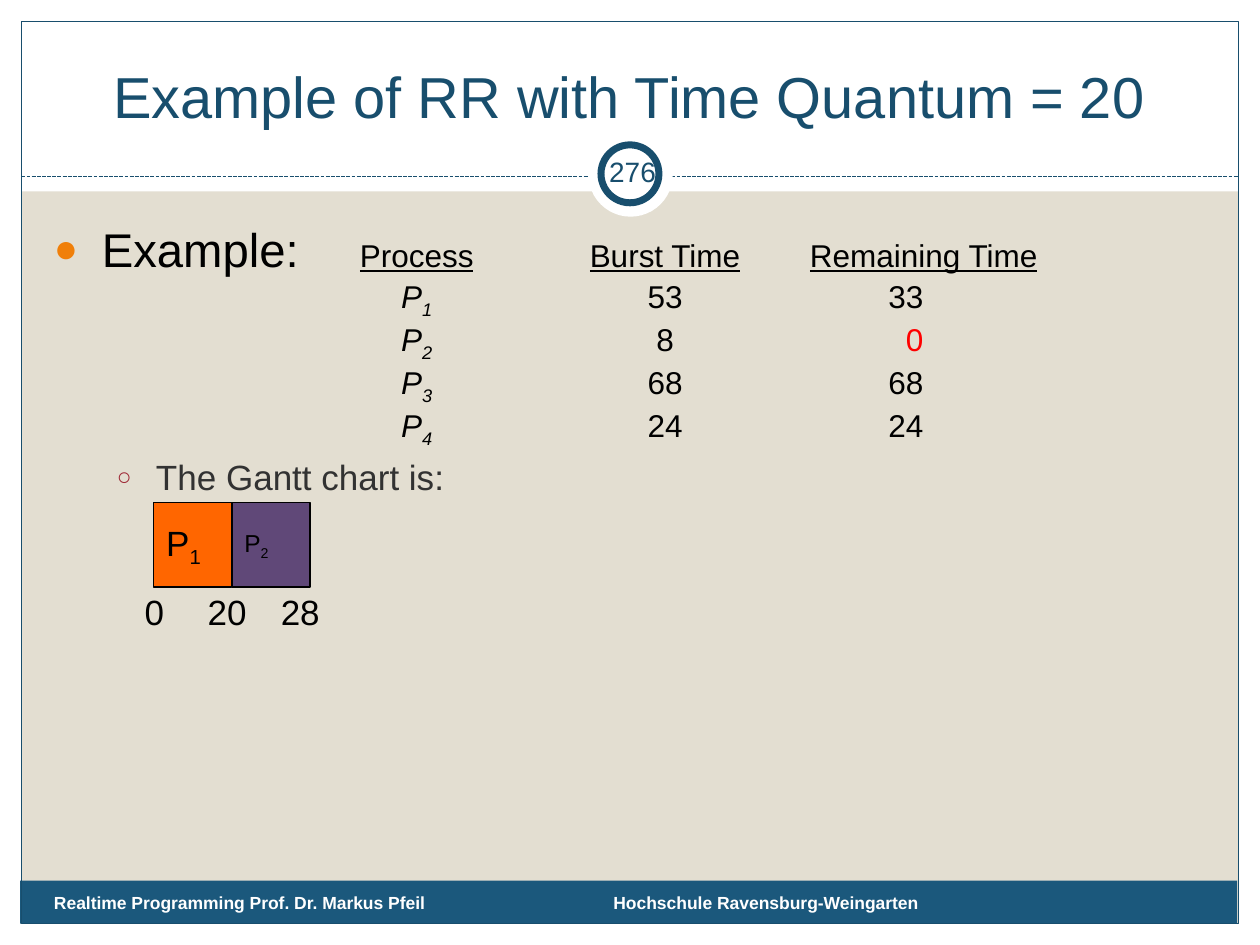
from lxml import etree
from pptx import Presentation
from pptx.dml.color import RGBColor
from pptx.enum import dml, shapes, text
from pptx.oxml import ns
from pptx.util import Inches, Pt

COLORS = {
    "sand": "E3DED1", "white": "FFFFFF", "band": "1B587C", "navy": "184E6D",
    "black": "000000", "gray": "323232", "red": "FF0000", "bullet": "F07F09",
    "sub_bullet": "9F2936", "p1": "FF6600", "p2": "604878",
}
PROCESSES = [("1", "53", "33"), ("2", "8", "0"), ("3", "68", "68"), ("4", "24", "24")]
TABS = [(2.88, "ctr"), (4.85, "ctr"), (6, "l"), (6.9, "r")]
RECT = shapes.MSO_SHAPE.RECTANGLE
OVAL = shapes.MSO_SHAPE.OVAL
MIDDLE = text.MSO_ANCHOR.MIDDLE
CENTER = text.PP_ALIGN.CENTER


def rgb(name):
    return RGBColor.from_string(COLORS[name])


def write(p, content, size=18, color="black", bold=False, italic=False,
          underline=False, sub=False):
    r = p.add_run()
    r.text = content
    f = r.font
    f.name, f.size, f.bold, f.italic, f.underline = "Arial", Pt(size), bold, italic, underline
    f.color.rgb = rgb(color)
    if sub:
        r._r.get_or_add_rPr().set("baseline", "-25000")


def add_shape(s, kind, x, y, w, h, fill=None, line=None, weight=0.75):
    sp = s.shapes.add_shape(kind, Inches(x), Inches(y), Inches(w), Inches(h))
    sp.shadow.inherit = False
    if fill:
        sp.fill.solid()
        sp.fill.fore_color.rgb = rgb(fill)
    else:
        sp.fill.background()
    if line:
        sp.line.color.rgb = rgb(line)
        sp.line.width = Pt(weight)
    else:
        sp.line.fill.background()
    return sp


def add_text(s, x, y, w, h, content="", align=None, anchor=None, wrap=True,
             inset=0.1, spacing=None, **fmt):
    tf = s.shapes.add_textbox(Inches(x), Inches(y), Inches(w), Inches(h)).text_frame
    tf.word_wrap = wrap
    tf.margin_left = tf.margin_right = Inches(inset)
    tf.vertical_anchor = anchor
    p = tf.paragraphs[0]
    p.alignment = align
    p.line_spacing = spacing
    if content:
        write(p, content, **fmt)
    return tf


def add_bullet(p, char, color, percent, left, hanging, tabs=()):
    pPr = p._p.get_or_add_pPr()
    pPr.set("marL", str(Inches(left)))
    pPr.set("indent", str(-Inches(hanging)))
    bu_color = etree.SubElement(pPr, ns.qn("a:buClr"))
    etree.SubElement(bu_color, ns.qn("a:srgbClr"), val=COLORS[color])
    etree.SubElement(pPr, ns.qn("a:buSzPct"), val=str(percent * 1000))
    etree.SubElement(pPr, ns.qn("a:buFont"), typeface="Arial")
    etree.SubElement(pPr, ns.qn("a:buChar"), char=char)
    if tabs:
        tab_list = etree.SubElement(pPr, ns.qn("a:tabLst"))
        for pos, algn in tabs:
            etree.SubElement(tab_list, ns.qn("a:tab"), pos=str(Inches(pos)), algn=algn)


def add_frame(s):
    for box in [(0, 7.33, 10, 0.17), (0, 0, 10, 1.52), (0, 0, 0.17, 7.5), (9.83, 0, 0.17, 7.5)]:
        add_shape(s, RECT, *box, fill="white")
    add_shape(s, RECT, 0.16, 6.99, 9.66, 0.34, fill="band")
    add_shape(s, RECT, 0.17, 0.17, 9.66, 7.16, line="navy")
    rule = s.shapes.add_connector(shapes.MSO_CONNECTOR.STRAIGHT, Inches(0.17), Inches(1.4),
                                  Inches(9.83), Inches(1.4))
    rule.line.color.rgb = rgb("navy")
    rule.line.width = Pt(0.75)
    rule.line.dash_style = dml.MSO_LINE.SQUARE_DOT
    etree.SubElement(rule._element.spPr, ns.qn("a:effectLst"))
    add_shape(s, OVAL, 4.67, 1.05, 0.67, 0.67, fill="white")
    add_shape(s, OVAL, 4.77, 1.15, 0.46, 0.46, fill="white", line="navy", weight=4)


def add_body(s):
    tf = add_text(s, 0.33, 1.7, 9.3, 5)
    p = tf.paragraphs[0]
    add_bullet(p, "●", "bullet", 85, 0.38, 0.38, TABS)
    write(p, "Example:", size=27)
    for heading in ("Process", "Burst Time", "Remaining Time"):
        write(p, "\t")
        write(p, heading, underline=True)
    for number, burst, remaining in PROCESSES:
        p.add_line_break()
        write(p, "\tP", italic=True)
        write(p, number, italic=True, sub=True)
        write(p, f"\t{burst}\t\t")
        write(p, remaining, color="red" if remaining == "0" else "black")
    p = tf.add_paragraph()
    add_bullet(p, "○", "sub_bullet", 70, 0.81, 0.31)
    p.space_before = Pt(4)
    write(p, "The Gantt chart is:", size=20, color="gray")


def add_gantt(s):
    for i, (fill, size) in enumerate([("p1", 20), ("p2", 14)]):
        tf = add_shape(s, RECT, 1.22 + 0.62 * i, 3.99, 0.62, 0.67, fill, "black").text_frame
        tf.word_wrap = False
        tf.vertical_anchor = MIDDLE
        p = tf.paragraphs[0]
        p.alignment = text.PP_ALIGN.LEFT
        write(p, "P", size=size)
        write(p, str(i + 1), size=size, sub=True)
    for x, w, time in [(1.05, 0.36, "0"), (1.55, 0.51, "20"), (2.13, 0.51, "28")]:
        add_text(s, x, 4.66, w, 0.38, time, anchor=MIDDLE, wrap=False, size=20)


def main():
    prs = Presentation()
    prs.slide_width, prs.slide_height = Inches(10), Inches(7.5)
    s = prs.slides.add_slide(prs.slide_layouts[6])
    s.background.fill.solid()
    s.background.fill.fore_color.rgb = rgb("sand")
    add_frame(s)
    add_text(s, 0.33, 0.25, 9.33, 0.83, "Example of RR with Time Quantum = 20",
             align=CENTER, anchor=text.MSO_ANCHOR.BOTTOM, size=33, color="navy")
    add_body(s)
    add_gantt(s)
    footer = dict(size=10, color="white", bold=True)
    add_text(s, 0.33, 7.03, 3.92, 0.27, "Realtime Programming Prof. Dr. Markus Pfeil", **footer)
    add_text(s, 4.77, 7.08, 3.29, 0.22, "Hochschule Ravensburg-Weingarten", spacing=0.65, **footer)
    add_text(s, 4.77, 1.12, 0.5, 0.48, "276", align=CENTER, anchor=MIDDLE, inset=0.05,
             size=16, color="navy")
    prs.save("out.pptx")


if __name__ == "__main__":
    main()
